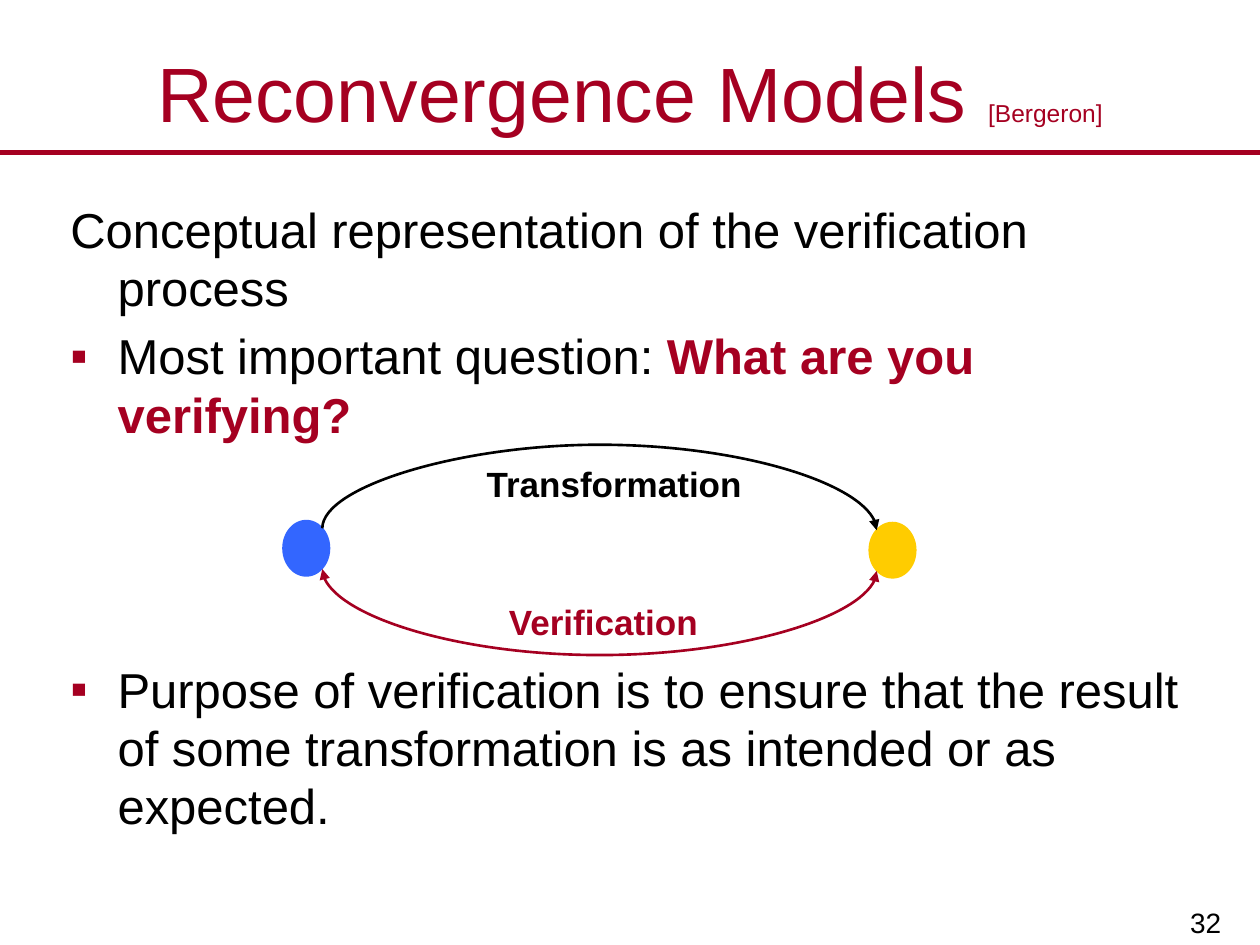
from dataclasses import dataclass

from lxml import etree
from pptx import Presentation
from pptx.dml.color import RGBColor
from pptx.enum.shapes import MSO_CONNECTOR, MSO_SHAPE
from pptx.enum.text import MSO_ANCHOR, PP_ALIGN
from pptx.oxml.ns import qn
from pptx.util import Pt

STRAIGHT, CURVE = MSO_CONNECTOR.STRAIGHT, MSO_CONNECTOR.CURVE
OVAL = MSO_SHAPE.OVAL
TOP, MIDDLE, BOTTOM = MSO_ANCHOR.TOP, MSO_ANCHOR.MIDDLE, MSO_ANCHOR.BOTTOM
LEFT, CENTER, RIGHT = PP_ALIGN.LEFT, PP_ALIGN.CENTER, PP_ALIGN.RIGHT
UPPER_LEFT, LOWER_LEFT, LOWER_RIGHT, UPPER_RIGHT = 1, 3, 5, 7


@dataclass(frozen=True)
class Theme:
    font: str = "Arial"
    ink: str = "000000"
    accent: str = "A50021"
    source: str = "3366FF"
    result: str = "FFCC00"
    title: int = 44
    body: int = 28
    label: int = 20
    number: int = 16
    citation: int = 14


def add_span(para, text, *, font, size, color, bold=False):
    span = para.add_run()
    span.text = text
    span.font.name = font
    span.font.size = Pt(size)
    span.font.bold = bold
    span.font.color.rgb = RGBColor.from_string(color)


def add_element(parent, tag, **attributes):
    return etree.SubElement(parent, qn(tag), attributes)


class Page:
    def __init__(self, deck, theme):
        self.theme = theme
        self.slide = deck.slides.add_slide(deck.slide_layouts[6])

    def box(self, left, top, width, height, anchor=TOP):
        frame = self.slide.shapes.add_textbox(
            Pt(left), Pt(top), Pt(width), Pt(height)).text_frame
        frame.word_wrap = True
        frame.vertical_anchor = anchor
        return frame

    def fill_para(self, para, spans, align=LEFT):
        para.alignment = align
        for text, size, color, bold in spans:
            add_span(para, text, font=self.theme.font, size=size,
                     color=color, bold=bold)

    def body(self, frame, items, indent=27, line_height=33.35):
        for index, (spans, bullet, gap) in enumerate(items):
            para = frame.paragraphs[0] if index == 0 else frame.add_paragraph()
            properties = para._p.get_or_add_pPr()
            properties.set("marL", str(Pt(indent)))
            properties.set("indent", str(Pt(-indent)))
            if bullet:
                color = add_element(properties, "a:buClr")
                add_element(color, "a:srgbClr", val=self.theme.accent)
                add_element(properties, "a:buFont", typeface=self.theme.font)
                add_element(properties, "a:buChar", char=bullet)
            para.line_spacing = Pt(line_height)
            para.space_before = Pt(gap)
            self.fill_para(para, spans)

    def label(self, left, top, width, text, color):
        frame = self.box(left, top, width, 31)
        self.fill_para(frame.paragraphs[0],
                       [(text, self.theme.label, color, True)], CENTER)

    def node(self, left, top, color):
        oval = self.slide.shapes.add_shape(OVAL, Pt(left), Pt(top), Pt(26), Pt(31))
        oval.shadow.inherit = False
        oval.fill.solid()
        oval.fill.fore_color.rgb = RGBColor.from_string(color)
        oval.line.color.rgb = RGBColor.from_string(color)
        oval.line.width = Pt(1.5)
        return oval

    def line(self, kind, start, end, color, weight):
        line = self.slide.shapes.add_connector(
            kind, *(Pt(value) for value in (*start, *end)))
        line.line.color.rgb = RGBColor.from_string(color)
        line.line.width = Pt(weight)
        add_element(line._element.spPr, "a:effectLst")
        return line

    def arc(self, start, end, depth, color, turn, flip, ends, heads):
        (x1, y1), (x2, y2) = start, end
        span, drop = x2 - x1, y2 - y1
        left, top = (x1 + x2 - drop) / 2, (y1 + y2 - span) / 2
        arc = self.line(CURVE, (left, top), (left + drop, top + span), color, 1.5)
        shape = arc._element.spPr
        frame = shape.find(qn("a:xfrm"))
        frame.set("rot", str(turn * 60000))
        frame.set(flip, "1")
        guides = shape.find(qn("a:prstGeom")).get_or_add_avLst()
        add_element(guides, "a:gd", name="adj1",
                    fmla=f"val {round(depth / drop * 100000)}")
        outline = shape.find(qn("a:ln"))
        for head in heads:
            add_element(outline, head, type="triangle", w="med", len="med")
        links = arc._element.nvCxnSpPr.cNvCxnSpPr
        for tag, (node, site) in zip(("a:stCxn", "a:endCxn"), ends):
            add_element(links, tag, id=str(node.shape_id), idx=str(site))


def main():
    deck = Presentation()
    deck.slide_width, deck.slide_height = Pt(720), Pt(540)
    theme = Theme()
    page = Page(deck, theme)

    page.line(STRAIGHT, (0, 87), (720, 87), theme.accent, 3)
    number = page.box(561.6, 499, 143.3, 41, BOTTOM)
    page.fill_para(number.paragraphs[0],
                   [("32", theme.number, theme.ink, False)], RIGHT)

    title = page.box(0, 21.6, 720, 62, MIDDLE)
    page.fill_para(title.paragraphs[0], [
        ("Reconvergence Models ", theme.title, theme.accent, False),
        ("[Bergeron]", theme.citation, theme.accent, False),
    ], CENTER)

    def plain(text):
        return text, theme.body, theme.ink, False

    question = ("What are you verifying?", theme.body, theme.accent, True)
    page.body(page.box(33.1, 110.5, 648, 386), [
        ([plain("Conceptual representation of the verification process")], None, 0),
        ([plain("Most important question: "), question], "▪", 5.6),
        ([plain("Purpose of verification is to ensure that the result of some "
                "transformation is as intended or as expected.")], "▪", 123.8),
    ])

    source = page.node(162, 297.8, theme.source)
    result = page.node(497, 298.9, theme.result)
    page.arc((184.2, 325.2), (501, 326.33), 49, theme.accent, 270, "flipH",
             ((source, LOWER_RIGHT), (result, LOWER_LEFT)),
             ("a:headEnd", "a:tailEnd"))
    page.arc((184.2, 301.9), (501, 303.03), -47.6, theme.ink, 90, "flipV",
             ((source, UPPER_RIGHT), (result, UPPER_LEFT)), ("a:tailEnd",))
    page.label(249.8, 260.6, 202.3, "Transformation", theme.ink)
    page.label(228.2, 339.8, 233.3, "Verification", theme.accent)

    deck.save("out.pptx")


if __name__ == "__main__":
    main()
